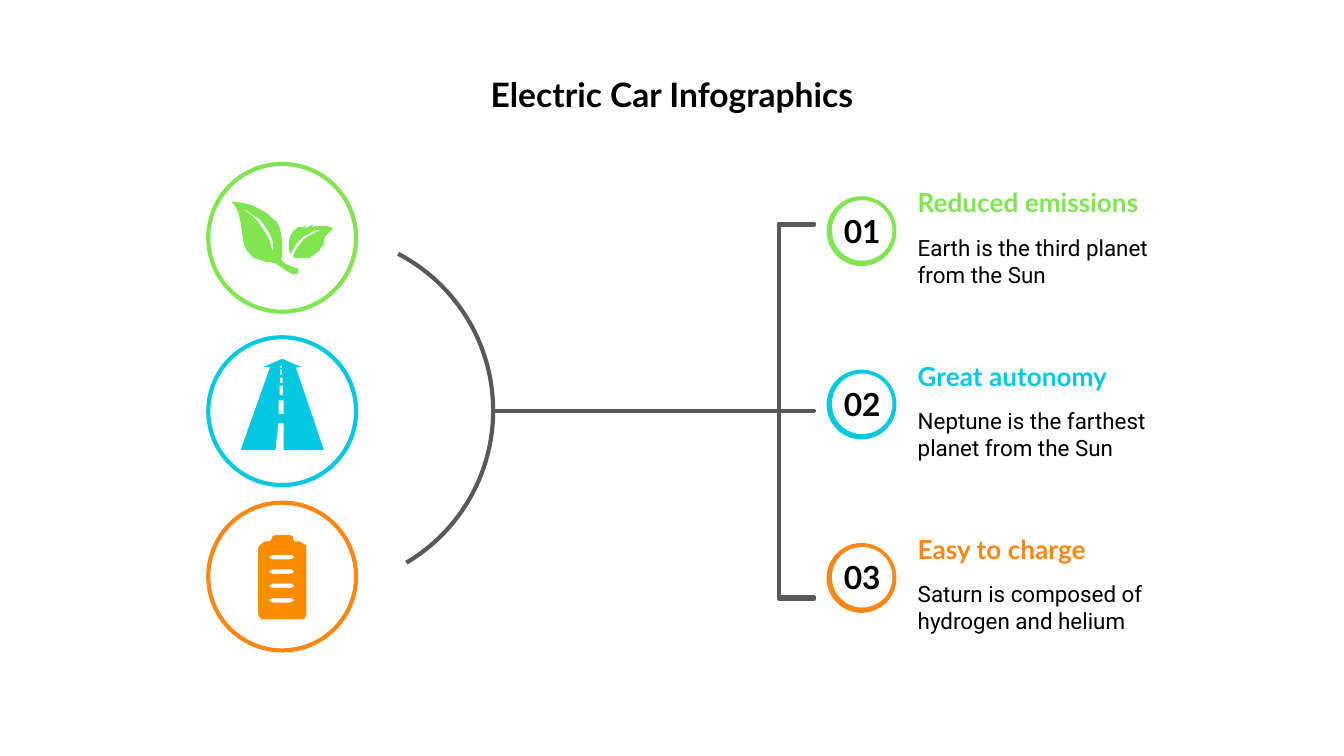
from dataclasses import dataclass

import pptx
import pptx.dml.color
import pptx.enum.shapes
import pptx.enum.text
import pptx.util

Inches, Pt = pptx.util.Inches, pptx.util.Pt
SHAPE = pptx.enum.shapes.MSO_SHAPE
ANCHOR, ALIGN = pptx.enum.text.MSO_ANCHOR, pptx.enum.text.PP_ALIGN


@dataclass(frozen=True)
class Theme:
    green: str = "81E552"
    cyan: str = "03C8DF"
    orange: str = "FD8714"
    battery: str = "FD8C00"
    gray: str = "595959"
    white: str = "FFFFFF"
    black: str = "000000"
    head_font: str = "Lato"
    body_font: str = "Roboto"
    title: int = 18
    number: int = 17
    heading: int = 14
    body: int = 12
    ring: float = 2.25
    bracket: float = 1.5


def paint(sp, fill=None, line=None, width=0):
    """Set fill and outline, None meaning absent, and drop the shadow."""
    sp.shadow.inherit = False
    for part, color in ((sp.fill, fill), (sp.line.fill, line)):
        if color:
            part.solid()
            part.fore_color.rgb = pptx.dml.color.RGBColor.from_string(color)
        else:
            part.background()
    if line:
        sp.line.width = Pt(width)


def write(sp, text, font, size, color, bold=True, align=ALIGN.LEFT, anchor=ANCHOR.MIDDLE, side=0.1):
    tf = sp.text_frame
    tf.word_wrap = True
    tf.vertical_anchor = anchor
    tf.margin_left = tf.margin_right = Inches(side)
    tf.margin_top = tf.margin_bottom = Inches(0.1)
    p = tf.paragraphs[0]
    p.text = text
    p.alignment = align
    p.font.name, p.font.size, p.font.bold = font, Pt(size), bold
    p.font.color.rgb = pptx.dml.color.RGBColor.from_string(color)


theme = Theme()
prs = pptx.Presentation()
prs.slide_width = Inches(10)
prs.slide_height = prs.slide_width * 9 // 16
s = prs.slides.add_slide(prs.slide_layouts[5])
shapes = s.shapes

title = shapes.title
title.left, title.top, title.width, title.height = map(Inches, (0.5, 0.45, 9, 0.53))
write(title, "Electric Car Infographics", theme.head_font, theme.title, theme.black,
      align=ALIGN.CENTER, anchor=ANCHOR.TOP)

# Icon circles on the left
for top, color in ((1.22, theme.green), (2.51, theme.cyan), (3.74, theme.orange)):
    sp = shapes.add_shape(SHAPE.OVAL, Inches(1.55), Inches(top), Inches(1.1), Inches(1.1))
    paint(sp, theme.white, color, theme.ring)

# Numbered items on the right, one every 1.29 inches
items = [
    ("Reduced emissions", "Earth is the third planet from the Sun", theme.green),
    ("Great autonomy", "Neptune is the farthest planet from the Sun", theme.cyan),
    ("Easy to charge", "Saturn is composed of hydrogen and helium", theme.orange),
]
for i, (heading, body, color) in enumerate(items):
    top = 1.27 + 1.29 * i
    sp = shapes.add_textbox(Inches(6.73), Inches(top), Inches(2.23), Inches(0.47))
    write(sp, heading, theme.head_font, theme.heading, color)
    sp = shapes.add_textbox(Inches(6.73), Inches(top + 0.38), Inches(1.99), Inches(0.58))
    write(sp, body, theme.body_font, theme.body, theme.black, bold=False)
    for size, dx, dy, fill in ((0.52, 0, 0, color), (0.45, 0.04, 0.03, theme.white)):
        sp = shapes.add_shape(SHAPE.OVAL, Inches(6.15 + dx), Inches(top + 0.19 + dy),
                              Inches(size), Inches(size))
        paint(sp, fill)
    write(sp, f"{i + 1:02}", theme.head_font, theme.number, theme.black,
          align=ALIGN.CENTER, side=0)

# Outlines in hundredths of an inch; inner contours are holes
battery = [[
    (205, 398), (203, 399), (202, 401), (202, 402), (200, 403), (197, 403), (194, 405),
    (192, 408), (192, 457), (193, 459), (195, 461), (225, 461), (227, 460), (228, 457),
    (228, 408), (228, 406), (225, 404), (223, 403), (219, 403), (218, 401), (218, 399), (215, 398),
]]
for i in range(4):
    y = 413 + 10.7 * i
    battery.append([(203, y), (217, y), (219, y + 1.5), (218, y + 2.5), (216, y + 3.3),
                    (203, y + 3.3), (201, y + 2.5), (200, y + 1.5)])

road = [[(210, 267), (196, 273), (201, 273), (179, 335), (205, 335), (207, 315),
         (211, 315), (211, 335), (241, 335), (220, 273), (224, 273)]]
for top, bottom, half in ((272, 274, 0.6), (275, 279, 0.8), (281, 285, 1),
                          (287, 294, 1.2), (298, 308, 1.8)):
    road.append([(209.2 - half, top), (209.2 + half, top),
                 (209.2 + half, bottom), (209.2 - half, bottom)])

small_leaf_lower = [[
    (245, 170), (240, 171), (236, 172), (233, 174), (229, 176), (226, 178), (223, 182),
    (220, 186), (218, 191), (220, 192), (224, 192), (230, 192), (233, 190), (236, 188),
    (238, 186), (239, 184), (241, 182), (241, 180), (242, 176), (245, 173), (248, 170),
]]
small_leaf_upper = [[
    (233, 167), (229, 169), (226, 170), (228, 168), (225, 169), (222, 169), (218, 172),
    (216, 176), (215, 180), (215, 185), (216, 189), (218, 186), (220, 182), (223, 179),
    (226, 176), (230, 174), (233, 172), (237, 171), (240, 171), (248, 170), (246, 169),
    (243, 168), (240, 168), (235, 168), (232, 169),
]]
large_leaf = [
    [(172, 150), (174, 152), (177, 157), (179, 165), (180, 172), (181, 179), (182, 183),
     (184, 187), (187, 190), (189, 192), (192, 193), (198, 195), (201, 195), (205, 196),
     (211, 200), (214, 202), (218, 204), (221, 204), (222, 202), (222, 200), (216, 198),
     (212, 196), (209, 193), (210, 191), (210, 180), (209, 173), (208, 169), (206, 165),
     (202, 162), (199, 159), (194, 156), (188, 153), (181, 151)],
    [(180, 155), (184, 157), (188, 160), (193, 163), (197, 168), (201, 174), (203, 180),
     (203, 187), (202, 184), (201, 180), (199, 176), (196, 171), (192, 165), (187, 160)],
]
bracket = [[(579, 166), (579, 446), (606, 446), (606, 444), (580, 444), (580, 168),
            (606, 168), (606, 166)]]
trunk = [[(367, 305), (367, 306), (606, 306), (606, 305)]]

for contours, fill, line in (
    (battery, theme.battery, None),
    (small_leaf_lower, theme.green, None),
    (small_leaf_upper, theme.green, None),
    (large_leaf, theme.green, None),
    (road, theme.cyan, None),
    (bracket, theme.gray, theme.gray),
    (trunk, theme.gray, theme.gray),
):
    # Tenfold coordinates keep the fractions of the hole outlines
    first, *holes = [[(round(x * 10), round(y * 10)) for x, y in c] for c in contours]
    builder = shapes.build_freeform(*first[0], scale=Inches(1) / 1000)
    builder.add_line_segments(first[1:], close=True)
    for hole in holes:
        builder.move_to(*hole[0])
        builder.add_line_segments(hole[1:], close=True)
    paint(builder.convert_to_shape(), fill, line, theme.bracket)

arc = shapes.add_shape(SHAPE.ARC, Inches(1.04), Inches(1.74), Inches(2.63), Inches(2.63))
for i, degrees in enumerate((297.53, 59.43)):
    arc.adjustments[i] = degrees * 0.6  # 60000 units a degree, 100000 to one
paint(arc, None, theme.gray, theme.ring)

prs.save("out.pptx")
